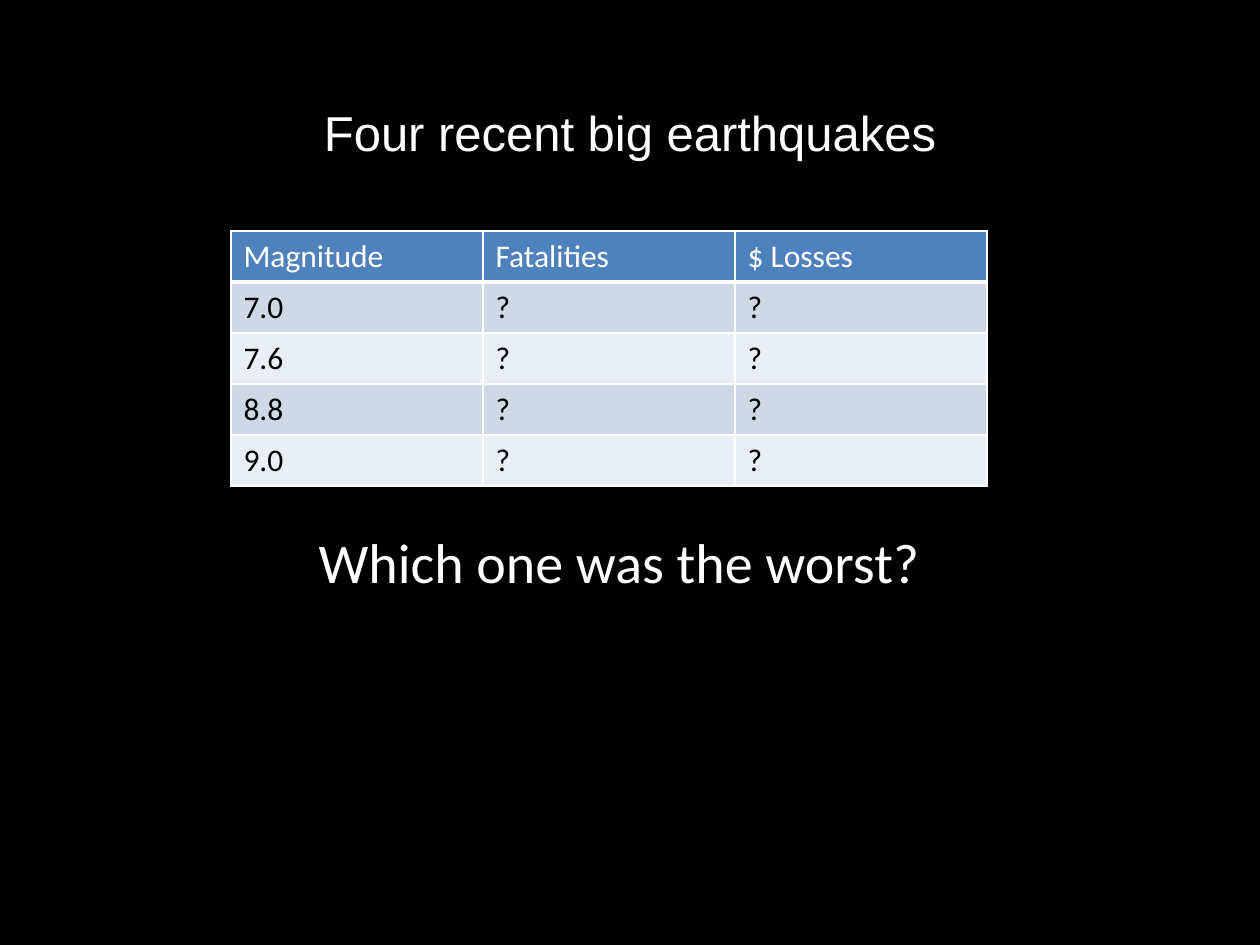
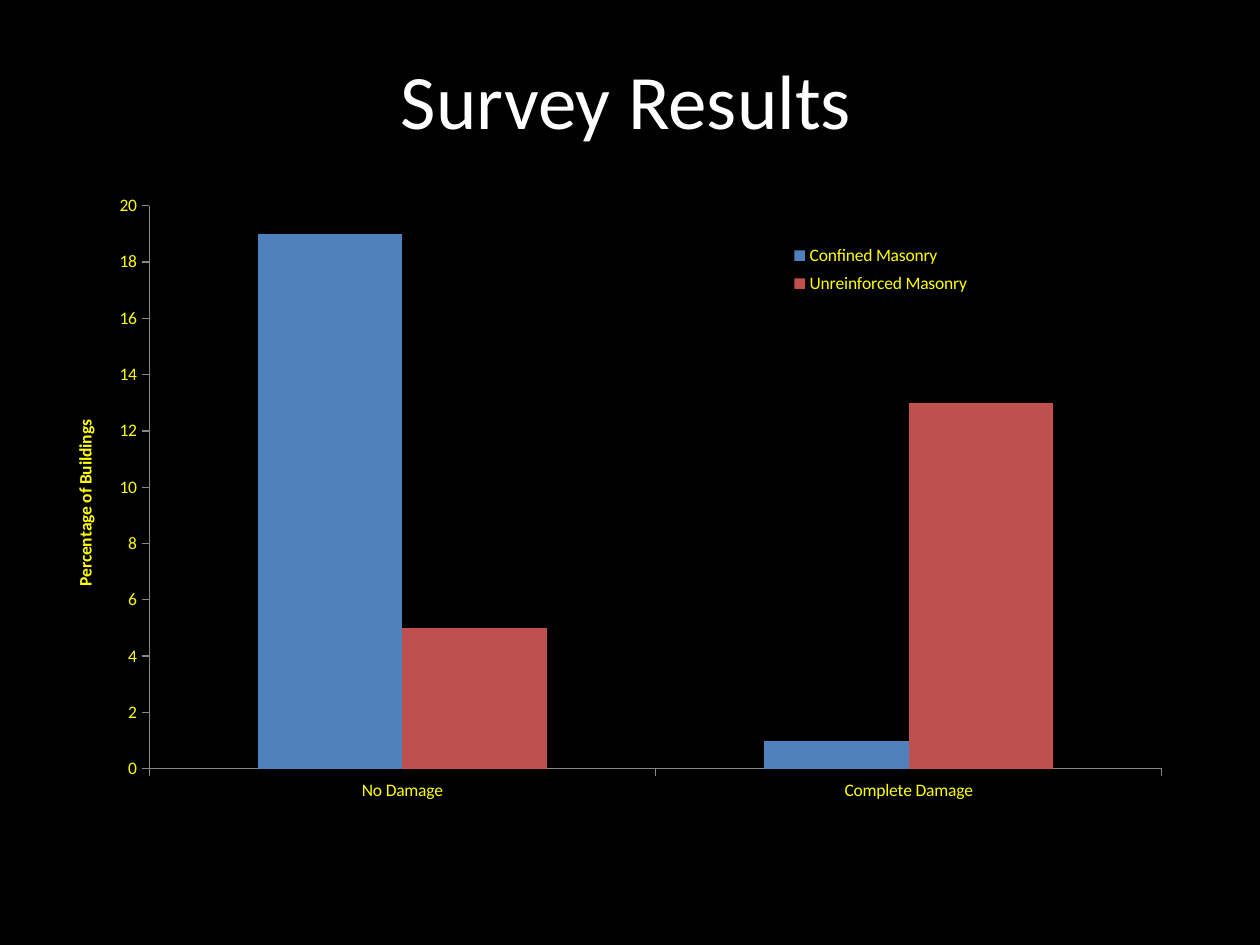
from lxml import etree
from pptx import Presentation
from pptx.chart.data import CategoryChartData
from pptx.dml.color import RGBColor
from pptx.enum.chart import XL_CHART_TYPE as CHART, XL_LEGEND_POSITION as LEGEND, XL_TICK_MARK as TICK
from pptx.enum.text import MSO_ANCHOR as ANCHOR, PP_ALIGN as ALIGN
from pptx.oxml import parse_xml
from pptx.oxml.ns import nsdecls, qn
from pptx.util import Inches, Pt

BLACK, WHITE, YELLOW, GREY = "000000", "FFFFFF", "FFFF00", "878787"
BLUE, RED = "4F81BD", "C0504D"
BANDS = "D0D8E8", "E9EDF4"
COLS, ROWS = 40, 30


def rgb(value):
    return RGBColor.from_string(value)


def style_font(font, size, color, name="Calibri", bold=False):
    font.size, font.name, font.bold = Pt(size), name, bold
    font.color.rgb = rgb(color)


def write(tf, text, align=ALIGN.LEFT, indent=0, **font):
    p = tf.paragraphs[0]
    p.alignment = align
    if indent:
        p._p.get_or_add_pPr().set("marL", str(Inches(indent)))
    r = p.add_run()
    r.text = text
    style_font(r.font, **font)


def place(parent, **shares):
    """Set a manual chart layout from shares of the chart's size."""
    old = parent.find(qn("c:layout"))
    if old is not None:
        parent.remove(old)
    modes = "".join(f'<c:{k}Mode val="edge"/>' for k in "xy")
    sizes = "".join(f'<c:{k} val="{v}"/>' for k, v in shares.items())
    target = '<c:layoutTarget val="inner"/>' if parent.tag == qn("c:plotArea") else ""
    layout = parse_xml(f'<c:layout {nsdecls("c")}><c:manualLayout>{target}{modes}{sizes}'
                       '</c:manualLayout></c:layout>')
    before = parent.find(qn("c:tx"))
    if before is None:
        before = parent.find(qn("c:legendPos"))
    if before is None:
        parent.insert(0, layout)
    else:
        before.addnext(layout)


class Deck:
    def __init__(self, width, height):
        self.prs = Presentation()
        self.prs.slide_width, self.prs.slide_height = Inches(width), Inches(height)
        self.slide = None

    def new_slide(self):
        self.slide = self.prs.slides.add_slide(self.prs.slide_layouts[6])
        fill = self.slide.background.fill
        fill.solid()
        fill.fore_color.rgb = rgb(BLACK)

    def box(self, col, row, cols, rows):
        """Turn grid columns and rows into left, top, width and height."""
        dx, dy = self.prs.slide_width / COLS, self.prs.slide_height / ROWS
        return [round(v) for v in (col * dx, row * dy, cols * dx, rows * dy)]

    def text(self, text, *grid, anchor=ANCHOR.TOP, **style):
        tf = self.slide.shapes.add_textbox(*self.box(*grid)).text_frame
        tf.word_wrap, tf.vertical_anchor = True, anchor
        write(tf, text, align=ALIGN.CENTER, color=WHITE, **style)

    def title(self, text, *grid, **style):
        self.text(text, *grid, anchor=ANCHOR.MIDDLE, **style)

    def table(self, data, *grid):
        table = self.slide.shapes.add_table(len(data), len(data[0]), *self.box(*grid)).table
        for i, values in enumerate(data):
            for j, value in enumerate(values):
                cell = table.cell(i, j)
                write(cell.text_frame, value, size=18, color=BLACK if i else WHITE)
                self.borders(cell, bottom=1 if i else 3)
                cell.fill.solid()
                cell.fill.fore_color.rgb = rgb(BANDS[(i - 1) % 2] if i else BLUE)

    def borders(self, cell, bottom):
        tc_pr = cell._tc.get_or_add_tcPr()
        for side in "LRTB":
            width = bottom if side == "B" else 1
            ln = etree.SubElement(tc_pr, qn(f"a:ln{side}"), w=str(Pt(width)))
            fill = etree.SubElement(ln, qn("a:solidFill"))
            etree.SubElement(fill, qn("a:srgbClr"), val=WHITE)

    def column_chart(self, categories, series, axis_title, *grid):
        data = CategoryChartData()
        data.categories = categories
        for name, values, _ in series:
            data.add_series(name, values)
        chart = self.slide.shapes.add_chart(CHART.COLUMN_CLUSTERED, *self.box(*grid), data).chart
        chart.has_title = False
        style_font(chart.font, 10, YELLOW)
        plot = chart.plots[0]
        plot.gap_width, plot.overlap, plot.vary_by_categories = 150, 0, False
        for ser, (_, _, color) in zip(plot.series, series):
            ser.format.fill.solid()
            ser.format.fill.fore_color.rgb = rgb(color)
        for axis in (chart.category_axis, chart.value_axis):
            axis.has_major_gridlines = False
            axis.major_tick_mark = TICK.OUTSIDE
            axis.format.line.color.rgb = rgb(GREY)
            axis.format.line.width = Pt(0.75)
        axis = chart.value_axis
        axis.minimum_scale, axis.maximum_scale, axis.major_unit = 0, 20, 2
        write(axis.axis_title.text_frame, axis_title, align=ALIGN.CENTER,
              size=10, color=YELLOW, bold=True)
        chart.has_legend = True
        chart.legend.position = LEGEND.RIGHT
        chart.legend.include_in_layout = False
        place(chart._chartSpace.chart.plotArea, x=0.08, y=0.03, w=0.9, h=0.88)
        place(axis.axis_title._element, x=0.01, y=0.36)
        place(chart.legend._element, x=0.64, y=0.08, w=0.18, h=0.1)


def earthquakes(deck):
    deck.new_slide()
    deck.title("Four recent big earthquakes", 1.24, 2.48, 36, 3.44,
               size=28, name="Arial", indent=0.38)
    magnitudes = "7.0", "7.6", "8.8", "9.0"
    deck.table([("Magnitude", "Fatalities", "$ Losses"), *((m, "?", "?") for m in magnitudes)],
               7.33, 7.33, 24, 8.1)
    deck.text("Which one was the worst?", 6.56, 16.56, 24.68, 4.32, size=32, indent=0.38)


def survey(deck):
    deck.new_slide()
    deck.title("Survey Results", 1.88, 0.64, 36, 5, size=44)
    deck.column_chart(("No Damage", "Complete Damage"),
                      (("Confined Masonry", (19, 1), BLUE),
                       ("Unreinforced Masonry", (5, 13), RED)),
                      "Percentage of Buildings", 1.88, 5.92, 35.72, 20.32)


def main():
    deck = Deck(10, 7.5)
    earthquakes(deck)
    survey(deck)
    deck.prs.save("out.pptx")


if __name__ == "__main__":
    main()
